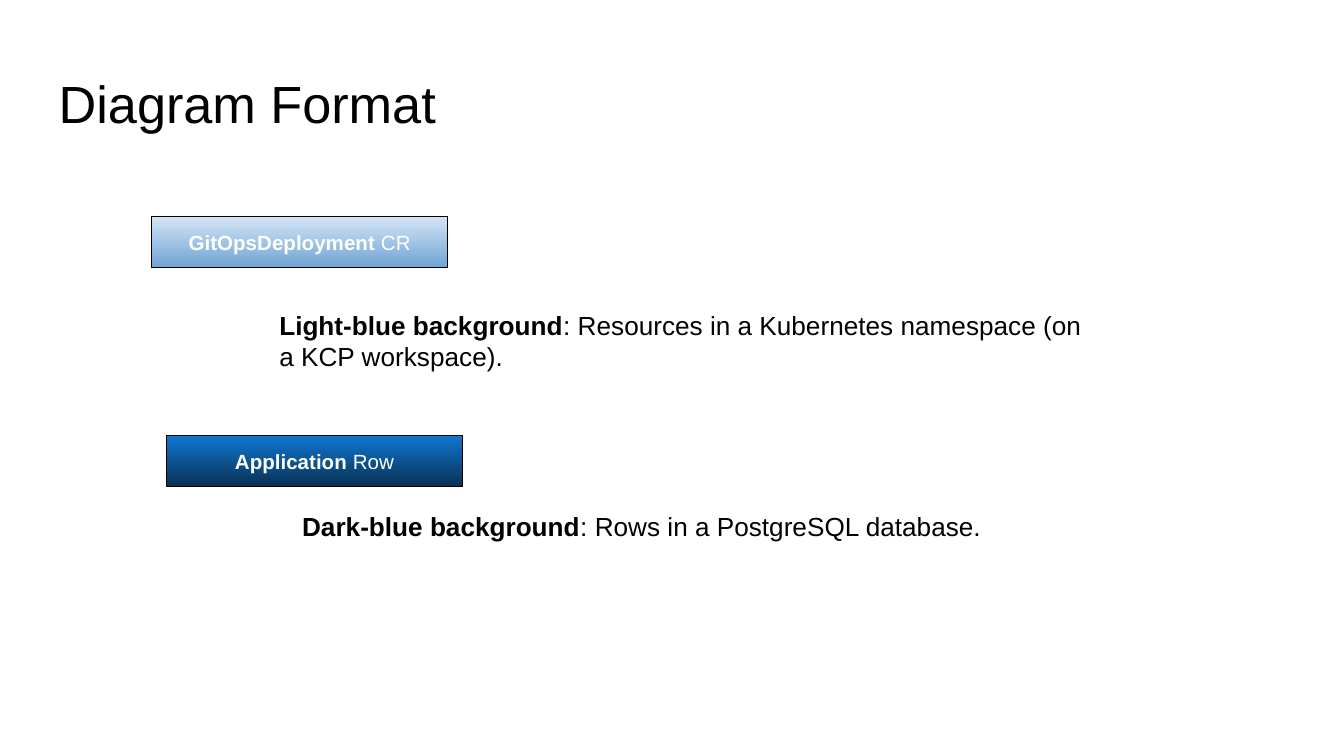
from dataclasses import dataclass

from pptx import Presentation
from pptx.dml.color import RGBColor
from pptx.enum.shapes import MSO_SHAPE
from pptx.enum.text import MSO_ANCHOR, MSO_AUTO_SIZE, PP_ALIGN
from pptx.shapes.autoshape import Shape
from pptx.slide import Slide
from pptx.util import Cm, Pt

RECT = MSO_SHAPE.RECTANGLE
TOP, MIDDLE = MSO_ANCHOR.TOP, MSO_ANCHOR.MIDDLE
LEFT, CENTER = PP_ALIGN.LEFT, PP_ALIGN.CENTER
GROW = MSO_AUTO_SIZE.SHAPE_TO_FIT_TEXT


@dataclass(frozen=True)
class Theme:
    font: str = "Arial"
    ink: str = "000000"
    paper: str = "FFFFFF"
    light: tuple[str, str] = ("D4E5F5", "70A4D5")
    dark: tuple[str, str] = ("1077D2", "093153")
    title: float = 28
    body: float = 14
    label: float = 11
    border: float = 0.75
    inset: float = 0.25


@dataclass(frozen=True)
class Box:
    left: float
    top: float
    width: float
    height: float

    def place(self) -> tuple[Cm, Cm, Cm, Cm]:
        return Cm(self.left), Cm(self.top), Cm(self.width), Cm(self.height)


@dataclass(frozen=True)
class Label:
    box: Box
    bold: str
    plain: str
    shades: tuple[str, str]


@dataclass(frozen=True)
class Note:
    box: Box
    bold: str
    plain: str


THEME = Theme()
TITLE = Box(0.86, 1.24, 23.67, 1.6)
LABELS = [
    Label(Box(2.87, 4.09, 5.59, 0.97), "GitOpsDeployment", " CR", THEME.light),
    Label(Box(3.15, 8.23, 5.59, 0.97), "Application ", "Row", THEME.dark),
]
NOTES = [
    Note(Box(5.03, 5.59, 16.03, 1.7), "Light-blue background",
         ": Resources in a Kubernetes namespace (on a KCP workspace)."),
    Note(Box(5.46, 9.4, 17.04, 1.09), "Dark-blue background",
         ": Rows in a PostgreSQL database."),
]


def write(shape: Shape, bold: str, plain: str, size: float, color: str,
          align: PP_ALIGN = LEFT, anchor: MSO_ANCHOR = TOP) -> None:
    frame = shape.text_frame
    frame.word_wrap = True
    frame.vertical_anchor = anchor
    frame.margin_left = frame.margin_right = Cm(THEME.inset)
    frame.margin_top = frame.margin_bottom = Cm(THEME.inset)
    para = frame.paragraphs[0]
    para.alignment = align
    if bold:
        para.text = bold
    para.add_run().text = plain
    for run in para.runs:
        run.font.name = THEME.font
        run.font.size = Pt(size)
        run.font.color.rgb = RGBColor.from_string(color)
        run.font.bold = run.text == bold


def draw_title(slide: Slide, text: str) -> None:
    shape = slide.shapes.add_textbox(*TITLE.place())
    write(shape, "", text, THEME.title, THEME.ink)
    shape.text_frame.paragraphs[0].line_spacing = 0.9


def draw_label(slide: Slide, label: Label) -> None:
    shape = slide.shapes.add_shape(RECT, *label.box.place())
    shape.shadow.inherit = False
    shape.fill.gradient()
    shape.fill.gradient_angle = 270
    for stop, shade in zip(shape.fill.gradient_stops, label.shades):
        stop.color.rgb = RGBColor.from_string(shade)
    shape.line.color.rgb = RGBColor.from_string(THEME.ink)
    shape.line.width = Pt(THEME.border)
    write(shape, label.bold, label.plain, THEME.label, THEME.paper, CENTER, MIDDLE)
    shape.text_frame.auto_size = GROW


def draw_note(slide: Slide, note: Note) -> None:
    shape = slide.shapes.add_textbox(*note.box.place())
    write(shape, note.bold, note.plain, THEME.body, THEME.ink)
    shape.text_frame.auto_size = GROW


def main() -> None:
    deck = Presentation()
    deck.slide_width, deck.slide_height = Cm(25.4), Cm(14.29)
    slide = deck.slides.add_slide(deck.slide_layouts[6])
    draw_title(slide, "Diagram Format")
    for label in LABELS:
        draw_label(slide, label)
    for note in NOTES:
        draw_note(slide, note)
    deck.save("out.pptx")


if __name__ == "__main__":
    main()
